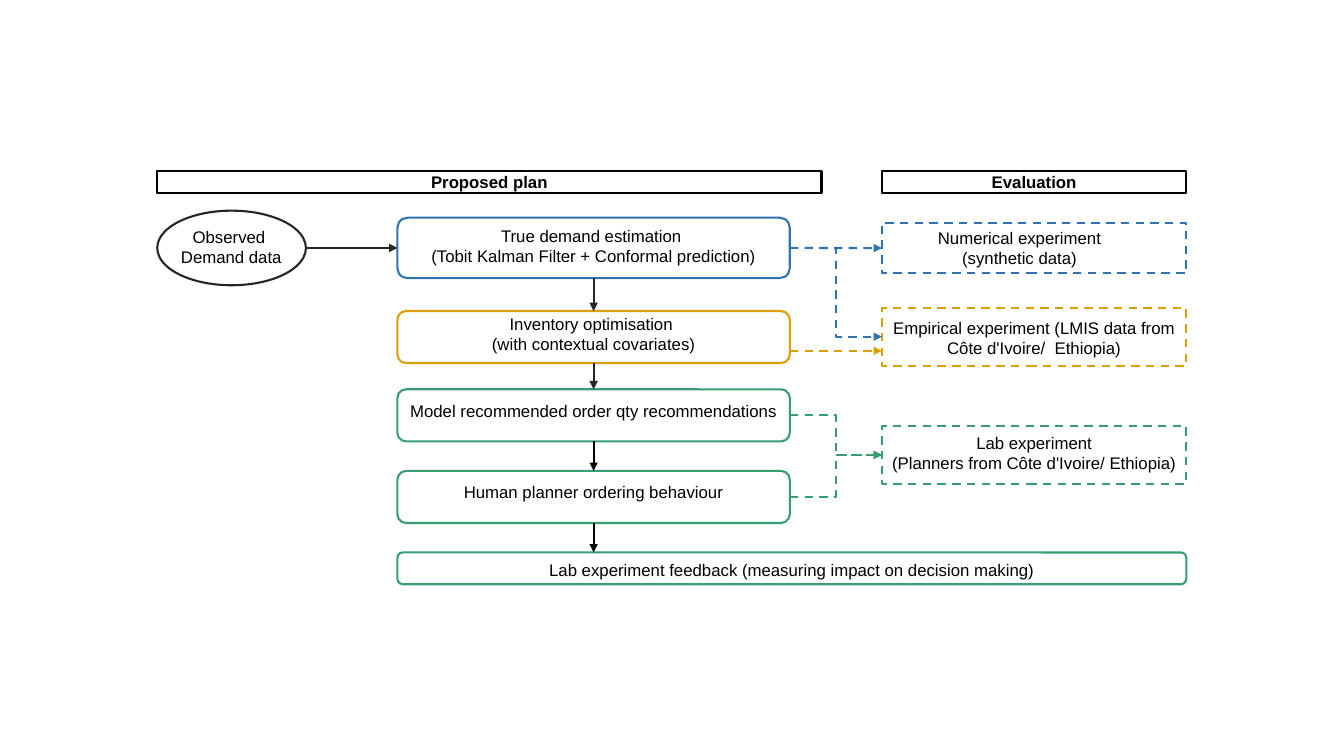
"""Build the slide that maps the proposed planning steps to their evaluation experiments."""
import dataclasses

import pptx
import pptx.dml.color
import pptx.enum.dml
import pptx.enum.shapes
import pptx.enum.text
import pptx.oxml
import pptx.oxml.ns
import pptx.util

Pt = pptx.util.Pt
SHAPE = pptx.enum.shapes.MSO_SHAPE
CONNECTOR = pptx.enum.shapes.MSO_CONNECTOR
ANCHOR = pptx.enum.text.MSO_ANCHOR


@dataclasses.dataclass(frozen=True)
class Theme:
    """Colours, font and sizes of the slide."""
    black: str = "000000"
    dark: str = "262626"
    blue: str = "2E73B3"
    amber: str = "DD9F00"
    green: str = "389E72"
    font: str = "Arial"
    text_size: int = 12
    line_width: float = 1.5


THEME = Theme()


def style_line(line, colour, dashed):
    line.color.rgb = pptx.dml.color.RGBColor.from_string(colour)
    line.width = Pt(THEME.line_width)
    if dashed:
        line.dash_style = pptx.enum.dml.MSO_LINE.DASH


def write_lines(frame, lines, bold=False):
    frame.word_wrap = True
    for index, words in enumerate(lines):
        paragraph = frame.paragraphs[0] if index == 0 else frame.add_paragraph()
        paragraph.alignment = pptx.enum.text.PP_ALIGN.CENTER
        run = paragraph.add_run()
        run.text = words
        font_format = {"name": THEME.font, "size": Pt(THEME.text_size), "bold": bold}
        for attribute, value in font_format.items():
            setattr(run.font, attribute, value)
        run.font.color.rgb = pptx.dml.color.RGBColor.from_string(THEME.black)


deck = pptx.Presentation()
deck.slide_width, deck.slide_height = Pt(960), Pt(540)
slide = deck.slides.add_slide(deck.slide_layouts[6])

plan_left, step_left, step_width = 112.3, 283.9, 280.3
trial_left, trial_width = 630, 217.4
step_right = step_left + step_width
step_middle = step_left + step_width / 2
feedback_width = trial_left + trial_width - step_left

outlines = {
    "observed": (SHAPE.OVAL, plan_left, 150.5, 106.2, 53.3, THEME.dark),
    "estimation": (SHAPE.ROUNDED_RECTANGLE, step_left, 155.5, step_width, 43.2, THEME.blue),
    "inventory": (SHAPE.ROUNDED_RECTANGLE, step_left, 222.2, step_width, 37.2, THEME.amber),
    "model": (SHAPE.ROUNDED_RECTANGLE, step_left, 278.1, step_width, 37.2, THEME.green),
    "planner": (SHAPE.ROUNDED_RECTANGLE, step_left, 336.4, step_width, 37.2, THEME.green),
    "feedback": (SHAPE.ROUNDED_RECTANGLE, step_left, 394.6, feedback_width, 22.7, THEME.green),
    "numerical": (SHAPE.RECTANGLE, trial_left, 159.1, trial_width, 36.2, THEME.blue),
    "empirical": (SHAPE.RECTANGLE, trial_left, 220.2, trial_width, 41.2, THEME.amber),
    "lab": (SHAPE.RECTANGLE, trial_left, 304.4, trial_width, 41.2, THEME.green),
    "plan header": (SHAPE.RECTANGLE, plan_left, 122.4, 474.5, 15.3, THEME.black),
    "evaluation header": (SHAPE.RECTANGLE, trial_left, 122.4, trial_width, 15.3, THEME.black),
}
boxes = {}
for part, (kind, left, top, width, height, colour) in outlines.items():
    box = slide.shapes.add_shape(kind, Pt(left), Pt(top), Pt(width), Pt(height))
    box.shadow.inherit = False
    box.fill.background()
    style_line(box.line, colour, part in ("numerical", "empirical", "lab"))
    boxes[part] = box

for part, title in (("plan header", "Proposed plan"), ("evaluation header", "Evaluation")):
    header = boxes[part].text_frame
    header_format = {"margin_top": 0, "margin_bottom": 0, "vertical_anchor": ANCHOR.MIDDLE}
    for attribute, value in header_format.items():
        setattr(header, attribute, value)
    write_lines(header, [title], bold=True)

labels = [
    (114.5, 158.4, 101.5, ["Observed ", "Demand data"]),
    (step_left, 157.7, step_width, ["True demand estimation ", "(Tobit Kalman Filter + Conformal prediction)"]),
    (step_left, 220.7, step_width, ["Inventory optimisation ", "(with contextual covariates)"]),
    (step_left, 283, step_width, ["Model recommended order qty recommendations"]),
    (step_left, 340.9, step_width, ["Human planner ordering behaviour"]),
    (step_left, 396, feedback_width, ["Lab experiment feedback (measuring impact on decision making)"]),
    (trial_left, 159.1, 196.6, ["Numerical experiment", "(synthetic data)"]),
    (trial_left, 223.2, trial_width, ["Empirical experiment (LMIS data from", "Côte d'Ivoire/  Ethiopia)"]),
    (trial_left, 305.5, trial_width, ["Lab experiment", "(Planners from Côte d'Ivoire/ Ethiopia)"]),
]
for left, top, width, lines in labels:
    label = slide.shapes.add_textbox(Pt(left), Pt(top), Pt(width), Pt(7.2 + 14.4 * len(lines)))
    label.text_frame.auto_size = pptx.enum.text.MSO_AUTO_SIZE.SHAPE_TO_FIT_TEXT
    write_lines(label.text_frame, lines)

TOP, LEFT, BOTTOM, RIGHT = range(4)
observed_right = (218.5, 177.1)
inventory_exit, empirical_entry = (step_right, 250.6), (trial_left, 250.6)
feedback_entry = (step_middle, 394.6)
estimation_entry = (trial_left, 240.5)
arrows = [
    (CONNECTOR.STRAIGHT, ("estimation", RIGHT), ("numerical", LEFT), THEME.blue, True),
    (CONNECTOR.STRAIGHT, observed_right, ("estimation", LEFT), THEME.dark, False),
    (CONNECTOR.STRAIGHT, ("estimation", BOTTOM), ("inventory", TOP), THEME.dark, False),
    (CONNECTOR.STRAIGHT, ("inventory", BOTTOM), ("model", TOP), THEME.dark, False),
    (CONNECTOR.STRAIGHT, ("model", BOTTOM), ("planner", TOP), THEME.black, False),
    (CONNECTOR.STRAIGHT, ("planner", BOTTOM), feedback_entry, THEME.black, False),
    (CONNECTOR.ELBOW, ("estimation", RIGHT), estimation_entry, THEME.blue, True),
    (CONNECTOR.STRAIGHT, inventory_exit, empirical_entry, THEME.amber, True),
    (CONNECTOR.ELBOW, ("model", RIGHT), ("lab", LEFT), THEME.green, True),
    (CONNECTOR.ELBOW, ("planner", RIGHT), ("lab", LEFT), THEME.green, True),
]
for kind, start, end, colour, dashed in arrows:
    points = []
    for place, side in (start, end):
        if place in boxes:
            box = boxes[place]
            x = box.left + (box.width // 2, 0, box.width // 2, box.width)[side]
            y = box.top + (0, box.height // 2, box.height, box.height // 2)[side]
            points += [x, y]
        else:
            points += [Pt(place), Pt(side)]
    arrow = slide.shapes.add_connector(kind, *points)
    if start[0] in boxes:
        arrow.begin_connect(boxes[start[0]], start[1])
    if end[0] in boxes:
        arrow.end_connect(boxes[end[0]], end[1])
    style_line(arrow.line, colour, dashed)
    head = pptx.oxml.parse_xml(f'<a:tailEnd {pptx.oxml.ns.nsdecls("a")} type="triangle"/>')
    arrow.line._get_or_add_ln().append(head)
    arrow._element.spPr.append(pptx.oxml.parse_xml(f'<a:effectLst {pptx.oxml.ns.nsdecls("a")}/>'))

deck.save("out.pptx")
